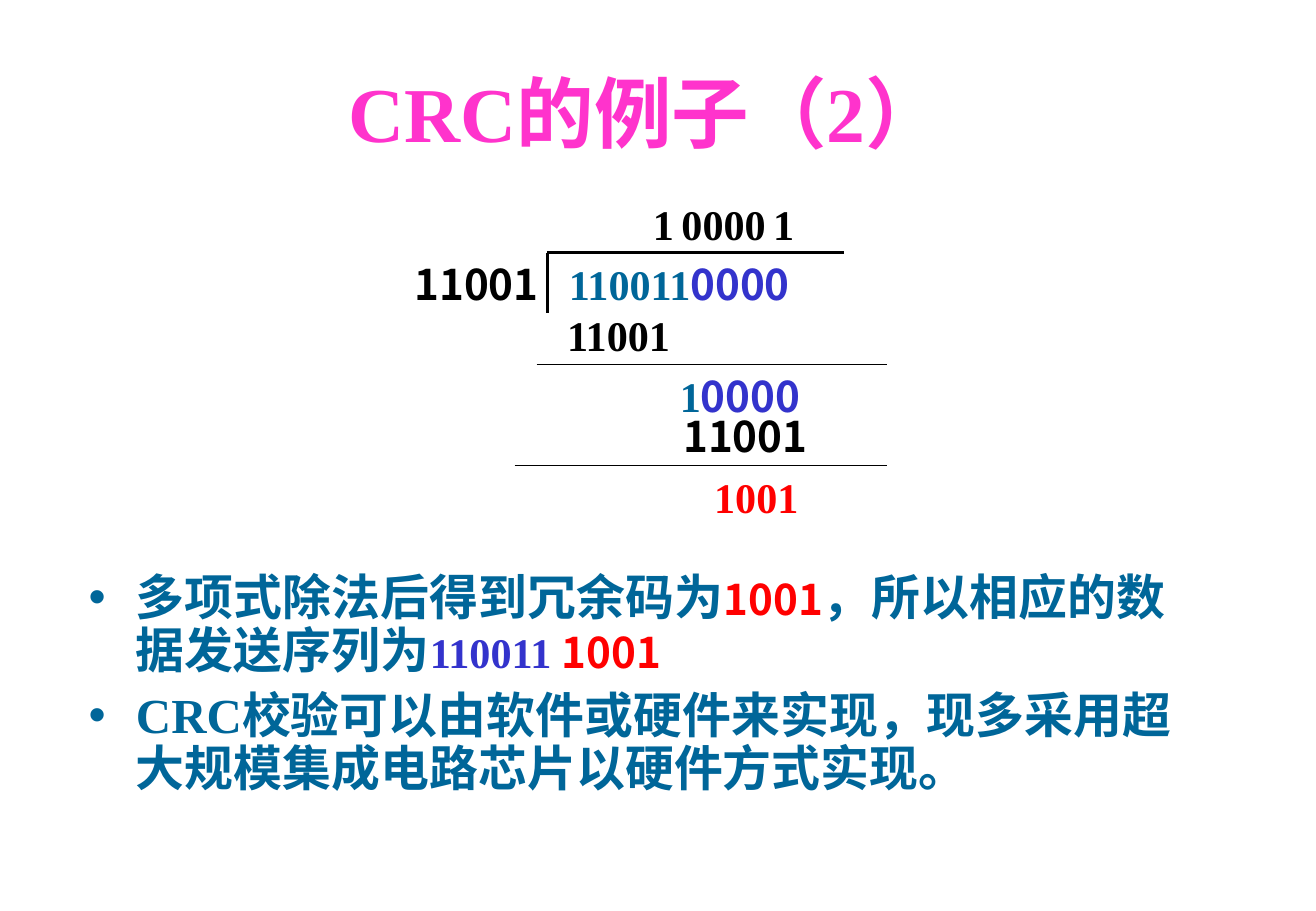
import pptx
import pptx.util
import pptx.dml.color
import pptx.enum.shapes
import pptx.enum.text
import pptx.oxml.ns
import lxml.etree

Inches = pptx.util.Inches
Pt = pptx.util.Pt
COLORS = {
    "pink": "FF33CC",
    "teal": "006699",
    "blue": "3333CC",
    "red": "FF0000",
    "black": "000000",
}
SERIF = "Times New Roman"
SANS = "Noto Sans CJK SC"


def add_span(para, text, size, font, color):
    span = para.add_run()
    span.text = text
    span.font.size = Pt(size)
    span.font.bold = True
    span.font.name = font
    span.font.color.rgb = pptx.dml.color.RGBColor.from_string(COLORS[color])
    east_asian = lxml.etree.SubElement(span.font._element, pptx.oxml.ns.qn("a:ea"))
    east_asian.set("typeface", SANS)


def place(shape, left, top, width, height):
    shape.left, shape.top = Inches(left), Inches(top)
    shape.width, shape.height = Inches(width), Inches(height)
    shape.text_frame.word_wrap = True
    shape.text_frame.auto_size = pptx.enum.text.MSO_AUTO_SIZE.NONE


deck = pptx.Presentation()
deck.slide_width = Inches(10.84)
deck.slide_height = Inches(7.5)
slide = deck.slides.add_slide(deck.slide_layouts[1])

title = slide.shapes.title
place(title, 1.44, 0.33, 7.76, 1.17)
title.text_frame.vertical_anchor = pptx.enum.text.MSO_ANCHOR.MIDDLE
title_para = title.text_frame.paragraphs[0]
title_para.alignment = pptx.enum.text.PP_ALIGN.CENTER
add_span(title_para, "CRC的例子（2）", 46, SERIF, "pink")

body = slide.placeholders[1]
place(body, 0.63, 4.67, 9.21, 2)
conclusions = [
    (6.2, [
        ("多项式除法后得到冗余码为", 29, SERIF, "teal"),
        ("1001", 25, SANS, "red"),
        ("，所以相应的数据发送序列为", 29, SERIF, "teal"),
        ("110011 ", 25, SERIF, "blue"),
        ("1001", 25, SANS, "red"),
    ]),
    (7.3, [
        ("CRC校验可以由软件或硬件来实现，现多采用超大规模集成电路芯片以硬件方式实现。", 29, SERIF, "teal"),
    ]),
]
for number, (space_before, spans) in enumerate(conclusions):
    para = body.text_frame.add_paragraph() if number else body.text_frame.paragraphs[0]
    para.line_spacing = 0.9
    para.space_before = Pt(space_before)
    properties = para._p.get_or_add_pPr()
    properties.set("marL", str(Inches(0.39)))
    properties.set("indent", str(-Inches(0.39)))
    bullet = lxml.etree.SubElement(properties, pptx.oxml.ns.qn("a:buChar"))
    bullet.set("char", "•")
    for span_values in spans:
        add_span(para, *span_values)

division_lines = [
    (4.51, 2.08, 6.95, 2.08, 2),
    (4.51, 2.08, 4.51, 2.58, 2),
    (4.42, 3, 7.31, 3, 0.75),
    (4.24, 3.83, 7.31, 3.83, 0.75),
]
for x1, y1, x2, y2, weight in division_lines:
    line = slide.shapes.add_connector(
        pptx.enum.shapes.MSO_CONNECTOR.STRAIGHT,
        Inches(x1), Inches(y1), Inches(x2), Inches(y2))
    line.line.width = Pt(weight)
    line.line.color.rgb = pptx.dml.color.RGBColor.from_string(COLORS["black"])
    lxml.etree.SubElement(line._element.spPr, pptx.oxml.ns.qn("a:effectLst"))

division_numbers = [
    (5.24, 1.58, 0.45, [("1", SERIF, "black")]),
    (5.42, 1.58, 1.08, [("0000", SERIF, "black")]),
    (6.23, 1.58, 0.45, [("1", SERIF, "black")]),
    (3.25, 2.08, 1.35, [("11001", SANS, "black")]),
    (4.42, 2.08, 2.35, [("110011", SERIF, "teal"), ("0000", SANS, "blue")]),
    (4.51, 2.5, 1.17, [("11001", SERIF, "black")]),
    (5.42, 3, 1.35, [("1", SERIF, "teal"), ("0000", SANS, "blue")]),
    (5.51, 3.33, 1.26, [("11001", SANS, "black")]),
    (5.6, 3.83, 1.26, [("1001", SERIF, "red")]),
]
for left, top, width, spans in division_numbers:
    box = slide.shapes.add_textbox(0, 0, 0, 0)
    place(box, left, top, width, 0.52)
    para = box.text_frame.paragraphs[0]
    para.alignment = pptx.enum.text.PP_ALIGN.CENTER
    for text, font, color in spans:
        add_span(para, text, 25, font, color)

deck.save("out.pptx")
